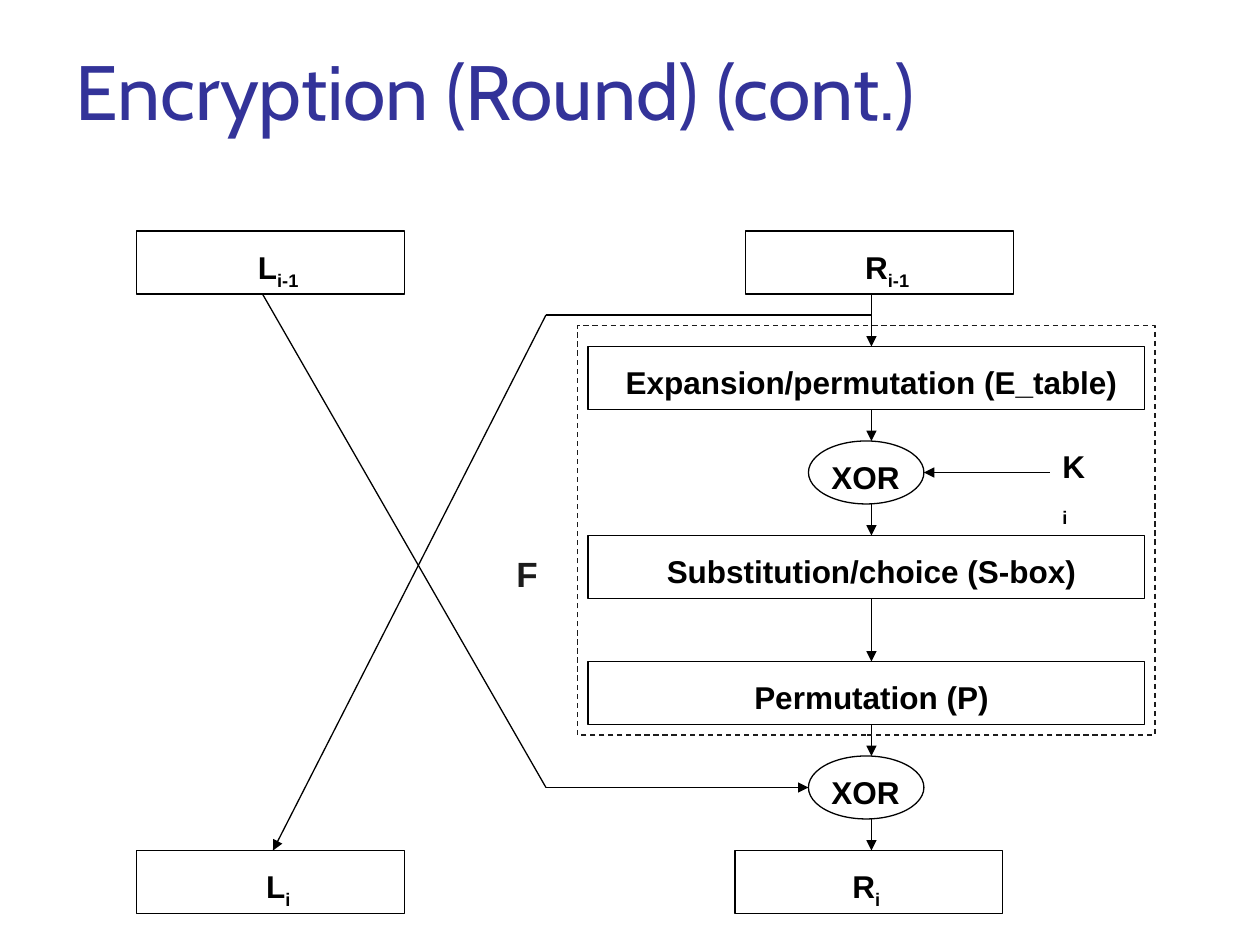
from lxml.etree import SubElement
from pptx import Presentation
from pptx.dml.color import RGBColor
from pptx.enum.dml import MSO_LINE as Dash
from pptx.enum.shapes import MSO_CONNECTOR as Link, MSO_SHAPE as Form
from pptx.enum.text import MSO_ANCHOR as Anchor, PP_ALIGN as Align
from pptx.oxml.ns import qn
from pptx.util import Inches, Pt

BLACK = RGBColor(0, 0, 0)
GRAY = RGBColor(0x1C, 0x1C, 0x1C)
BLUE = RGBColor(0x33, 0x33, 0x99)
WIDE, HIGH = Inches(10), Inches(7.5)
COLS, ROWS = 120, 90
AXIS = 83
BEND = 52
TALL = 6


def grid(x, y):
    return round(WIDE * x / COLS), round(HIGH * y / ROWS)


def frame(slide, form, x, y, w, h=TALL, color=BLACK):
    shape = slide.shapes.add_shape(form, *grid(x, y), *grid(w, h))
    shape.shadow.inherit = False
    shape.fill.background()
    shape.line.color.rgb = color
    shape.line.width = Pt(0.75)
    return shape


def label(slide, text, x, y, w, h=4.8, sub="", size=18, color=BLACK,
          face="Arial", bold=True, align=Align.LEFT):
    box = slide.shapes.add_textbox(*grid(x, y), *grid(w, h))
    body = box.text_frame
    body.word_wrap = True
    body.vertical_anchor = Anchor.TOP
    body.text = text
    line = body.paragraphs[0]
    line.alignment = align
    if sub:
        low = line.add_run()
        low.text = sub
        low.font._element.set("baseline", "-25000")
    for run in line.runs:
        font = run.font
        font.name, font.size, font.bold = face, Pt(size), bold
        font.color.rgb = color


def block(slide, text, x, y, w, sub="", shift=1):
    frame(slide, Form.RECTANGLE, x, y, w)
    span = int(w) if sub else w - 1
    label(slide, text, x + shift, y + 1, span, 5.25 if sub else 4.8,
          sub, align=Align.CENTER)


def gate(slide, y):
    frame(slide, Form.OVAL, 77, y, 11)
    label(slide, "XOR", 78, y + 1, 11)


def wire(slide, start, end, arrow=True):
    line = slide.shapes.add_connector(Link.STRAIGHT, *grid(*start), *grid(*end))
    line.line.color.rgb = BLACK
    line.line.width = Pt(0.75)
    if arrow:
        SubElement(line.line._get_or_add_ln(), qn("a:tailEnd"), type="triangle")
    SubElement(line._element.spPr, qn("a:effectLst"))


def main():
    deck = Presentation()
    deck.slide_width, deck.slide_height = WIDE, HIGH
    slide = deck.slides.add_slide(deck.slide_layouts[6])

    label(slide, "Encryption (Round) (cont.)", 6, 3.6, 108, 15,
          size=44, color=BLUE, face="Cabin", bold=False)

    for text, sub, x, y, shift in (("L", "i-1", 13, 22, 1), ("R", "i-1", 71, 22, 1),
                                   ("L", "i", 13, 81, 1), ("R", "i", 70, 81, 0)):
        block(slide, text, x, y, 25.5, sub, shift)
    for text, y in (("Expansion/permutation (E_table)", 33),
                    ("Substitution/choice (S-box)", 51),
                    ("Permutation (P)", 63)):
        block(slide, text, 56, y, 53)
    for y in (42, 72):
        gate(slide, y)

    stops = (22, 33, 42, 51, 63, 72, 81)
    for top, low in zip(stops, stops[1:]):
        wire(slide, (AXIS, top + TALL), (AXIS, low))

    wire(slide, (100, 45), (88, 45))
    label(slide, "K", 100, 42, 5, 8.9, sub="i")

    wire(slide, (AXIS, 30), (BEND, 30), arrow=False)
    wire(slide, (BEND, 30), (26, 81))
    wire(slide, (25, 28), (BEND, 75), arrow=False)
    wire(slide, (BEND, 75), (77, 75))

    zone = frame(slide, Form.RECTANGLE, 55, 31, 55, 39, GRAY)
    zone.line.dash_style = Dash.DASH
    label(slide, "F", 48, 52, 6, 5, size=20, color=GRAY)

    deck.save("out.pptx")


if __name__ == "__main__":
    main()
